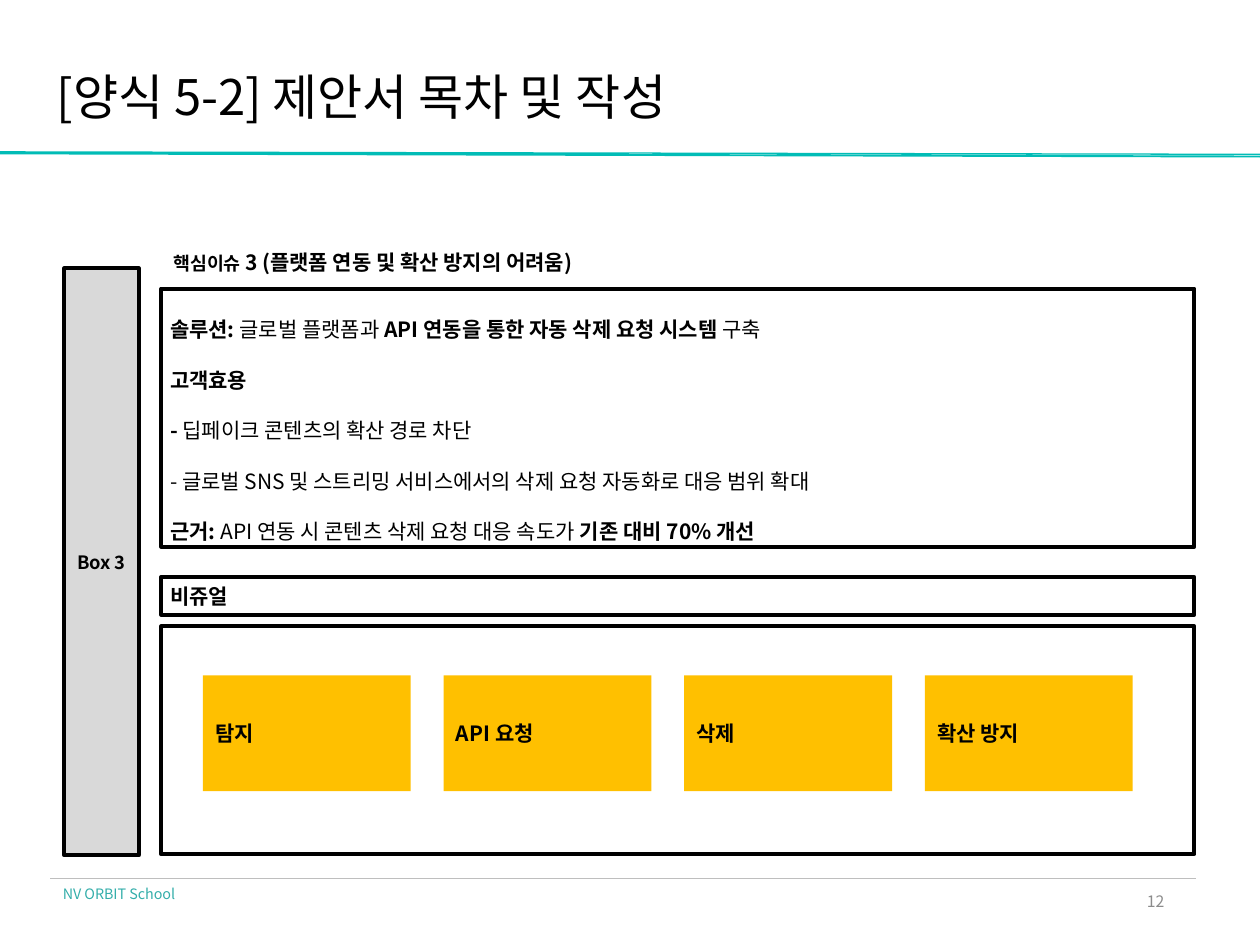
from dataclasses import dataclass

from lxml.etree import SubElement
from pptx import Presentation
from pptx.dml.color import RGBColor
from pptx.enum.shapes import MSO_CONNECTOR, MSO_SHAPE
from pptx.enum.text import MSO_ANCHOR as Anchor, MSO_AUTO_SIZE as AutoSize, PP_ALIGN as Align
from pptx.oxml.ns import qn
from pptx.util import Inches, Pt


@dataclass(frozen=True)
class Theme:
    font: str = "Noto Sans CJK KR"
    ink: str = "000000"
    teal: str = "01BCB6"
    footer: str = "34AEAA"
    muted: str = "8C8C8C"
    rule: str = "BEBEBE"
    tab: str = "D9D9D9"
    step: str = "FFC000"
    title_size: float = 28
    body_size: float = 12
    label_size: float = 10.5
    number_size: float = 9
    footer_size: float = 8.2
    outline: float = 2.25
    hairline: float = 0.5


THEME = Theme()
TIGHT = (0.07, 0.04)
NORMAL = (0.1, 0.05)


def rgb(value):
    return RGBColor.from_string(value)


def add_run(paragraph, text, size=THEME.body_size, bold=False, color=THEME.ink):
    run = paragraph.add_run()
    run.text = text
    font = run.font
    font.size, font.bold, font.name = Pt(size), bold, THEME.font
    font.color.rgb = rgb(color)
    # Hangul takes its typeface from the East Asian slot
    SubElement(run._r.get_or_add_rPr(), qn("a:ea")).set("typeface", THEME.font)


def set_frame(shape, insets=NORMAL, anchor=Anchor.MIDDLE):
    frame = shape.text_frame
    frame.word_wrap = True
    frame.vertical_anchor = anchor
    frame.margin_left = frame.margin_right = Inches(insets[0])
    frame.margin_top = frame.margin_bottom = Inches(insets[1])
    return frame


def first_paragraph(shape, align=Align.LEFT, **frame_options):
    paragraph = set_frame(shape, **frame_options).paragraphs[0]
    paragraph.alignment = align
    return paragraph


def add_box(shapes, box, fill=None, outlined=True):
    shape = shapes.add_shape(MSO_SHAPE.RECTANGLE, *map(Inches, box))
    shape.shadow.inherit = False
    if fill:
        shape.fill.solid()
        shape.fill.fore_color.rgb = rgb(fill)
    else:
        shape.fill.background()
    if outlined:
        shape.line.color.rgb = rgb(THEME.ink)
        shape.line.width = Pt(THEME.outline)
    else:
        shape.line.fill.background()
    return shape


def add_text(shapes, box, **options):
    return first_paragraph(shapes.add_textbox(*map(Inches, box)), **options)


def add_title(slide, box, text):
    title = slide.shapes.title
    title.left, title.top, title.width, title.height = map(Inches, box)
    paragraph = first_paragraph(title, insets=(0, 0))
    title.text_frame.auto_size = AutoSize.NONE
    add_run(paragraph, text, THEME.title_size)


def add_header_band(shapes, box):
    """Draw two thin slanted strips, one under the other."""
    left, top, width, _ = box
    right = left + width

    def points(start, end, thickness):
        corners = [(left, start), (left, start + thickness), (right, end + thickness), (right, end)]
        return [(Inches(x), Inches(y)) for x, y in corners]

    upper = points(top, top + 0.02, 0.01)
    lower = points(top + 0.01, top + 0.035, 0.015)
    builder = shapes.build_freeform(*lower[0])
    builder.add_line_segments(lower[1:])
    builder.move_to(*upper[0])
    builder.add_line_segments(upper[1:])
    band = builder.convert_to_shape()
    band.shadow.inherit = False
    band.fill.solid()
    band.fill.fore_color.rgb = rgb(THEME.teal)
    band.line.fill.background()


def add_footer(shapes, box, name, number):
    left, top, width, height = box
    rule = shapes.add_connector(
        MSO_CONNECTOR.STRAIGHT, Inches(left), Inches(top), Inches(left + width), Inches(top))
    rule.line.color.rgb = rgb(THEME.rule)
    rule.line.width = Pt(THEME.hairline)
    SubElement(rule._element.spPr, qn("a:effectLst"))
    number_box = (left + width - 2.43, top - 0.02, 2.25, height)
    paragraph = add_text(shapes, number_box, align=Align.RIGHT, insets=TIGHT)
    add_run(paragraph, number, THEME.number_size, color=THEME.muted)
    paragraph = add_text(shapes, (left, top + 0.01, 1.29, 0.24), anchor=Anchor.TOP)
    add_run(paragraph, name, THEME.footer_size, color=THEME.footer)


def add_side_tab(shapes, box, text):
    tab = add_box(shapes, box, THEME.tab)
    paragraph = first_paragraph(tab, Align.CENTER, insets=TIGHT)
    add_run(paragraph, text, THEME.label_size, bold=True)


def add_issue_heading(shapes, box, label, issue):
    paragraph = add_text(shapes, box, anchor=Anchor.TOP)
    add_run(paragraph, label, THEME.label_size, bold=True)
    add_run(paragraph, issue, bold=True)


def add_solution(shapes, box, lines):
    frame = set_frame(add_box(shapes, box), insets=TIGHT)
    for index, runs in enumerate(lines):
        paragraph = frame.add_paragraph() if index else frame.paragraphs[0]
        paragraph.alignment = Align.LEFT
        paragraph.line_spacing = 2.0
        for text, bold in runs:
            add_run(paragraph, text, bold=bold)


def add_visual_heading(shapes, box, text):
    paragraph = first_paragraph(add_box(shapes, box), insets=TIGHT)
    add_run(paragraph, text, bold=True)


def add_steps(shapes, box, steps):
    """Draw a frame holding a row of equal step cards."""
    left, top, width, height = box
    card_width, card_height, gap = 1.65, 0.92, 0.26
    group = shapes.add_group_shape()
    for index, step in enumerate(steps):
        card_left = left + 0.33 + index * (card_width + gap)
        card = add_box(group.shapes, (card_left, top + 0.39, card_width, card_height),
                       THEME.step, outlined=False)
        add_run(first_paragraph(card), step, bold=True)
    add_box(shapes, box)


SOLUTION = [
    [("솔루션: ", True), ("글로벌 플랫폼과 ", False),
     ("API 연동을 통한 자동 삭제 요청 시스템", True), (" 구축", False)],
    [("고객효용", True)],
    [("- ", True), ("딥페이크 콘텐츠의 확산 경로 차단", False)],
    [("- 글로벌 SNS 및 스트리밍 서비스에서의 삭제 요청 자동화로 대응 범위 확대", False)],
    [("근거: ", True), ("API 연동 시 콘텐츠 삭제 요청 대응 속도가 ", False),
     ("기존 대비 70% 개선", True)],
]
STEPS = ["탐지", "API 요청", "삭제", "확산 방지"]


def main():
    presentation = Presentation()
    presentation.slide_width, presentation.slide_height = Inches(10), Inches(7.5)
    slide = presentation.slides.add_slide(presentation.slide_layouts[5])
    shapes = slide.shapes
    left, width = 1.28, 8.2

    add_header_band(shapes, (0, 1.2, 10, 0.05))
    add_footer(shapes, (0.4, 6.97, 9.09, 0.4), "NV ORBIT School", "12")
    add_title(slide, (0.45, 0.53, 9.03, 0.47), "[양식 5-2] 제안서 목차 및 작성")
    add_side_tab(shapes, (0.51, 2.13, 0.59, 4.66), "Box 3")
    add_solution(shapes, (left, 2.29, width, 2.05), SOLUTION)
    add_visual_heading(shapes, (left, 4.58, width, 0.3), "비쥬얼")
    add_issue_heading(shapes, (left, 1.93, 6.3, 0.3),
                      "핵심이슈 ", "3 (플랫폼 연동 및 확산 방지의 어려움)")
    add_steps(shapes, (left, 4.97, width, 1.81), STEPS)
    presentation.save("out.pptx")


if __name__ == "__main__":
    main()
